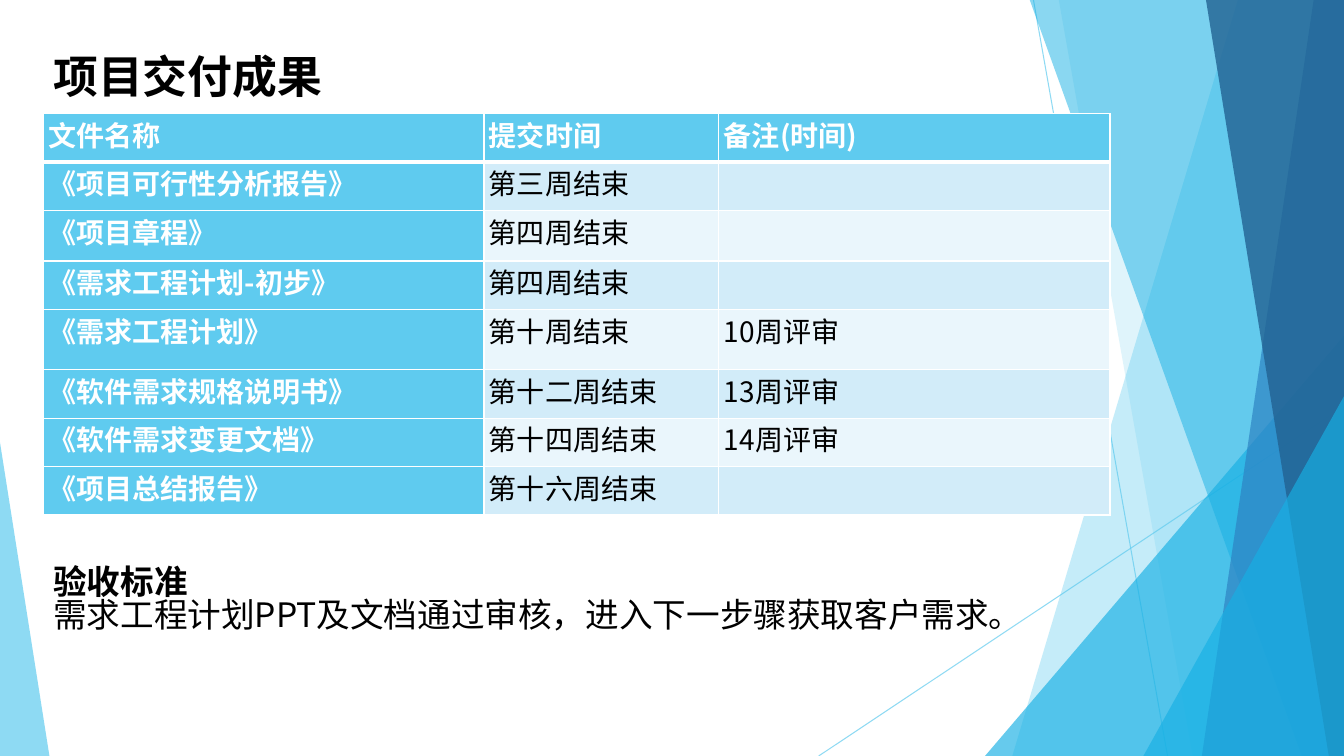
from lxml.etree import SubElement
from pptx import Presentation
from pptx.dml.color import RGBColor
from pptx.enum.shapes import MSO_CONNECTOR, MSO_SHAPE
from pptx.enum.text import MSO_AUTO_SIZE, PP_ALIGN
from pptx.oxml.ns import qn
from pptx.util import Pt

PX = 9144
FONT = "Noto Sans CJK SC"
BLACK = RGBColor(0x00, 0x00, 0x00)
WHITE = RGBColor(0xFF, 0xFF, 0xFF)
SKY = RGBColor(0x5F, 0xCB, 0xEF)
AZURE = RGBColor(0x17, 0xB0, 0xE4)
BLUE = RGBColor(0x2E, 0x83, 0xC3)
NAVY = RGBColor(0x22, 0x62, 0x92)
BAND_DARK = RGBColor(0xD2, 0xEC, 0xF9)
BAND_LIGHT = RGBColor(0xEA, 0xF6, 0xFC)

RIGHT, TOP, BOTTOM = 1333, -1, 750

DELIVERABLES = [
    ("文件名称", "提交时间", "备注(时间)"),
    ("《项目可行性分析报告》", "第三周结束", ""),
    ("《项目章程》", "第四周结束", ""),
    ("《需求工程计划-初步》", "第四周结束", ""),
    ("《需求工程计划》", "第十周结束", "10周评审"),
    ("《软件需求规格说明书》", "第十二周结束", "13周评审"),
    ("《软件需求变更文档》", "第十四周结束", "14周评审"),
    ("《项目总结报告》", "第十六周结束", ""),
]
COLUMN_WIDTHS = [437, 233, 388]
ROW_HEIGHTS = [48, 48, 50, 48, 60, 48, 48, 48]


class SlideBuilder:
    def __init__(self, slide):
        self.shapes = slide.shapes

    def fade(self, fill_parent, opacity):
        color = fill_parent.find(qn("a:solidFill"))[0]
        SubElement(color, qn("a:alpha"), val=str(opacity * 1000))

    def paint(self, facet, color, opacity):
        facet.shadow.inherit = False
        facet.fill.solid()
        facet.fill.fore_color.rgb = color
        facet.line.fill.background()
        self.fade(facet._element.spPr, opacity)

    def ray(self, start, end):
        ends = [value * PX for value in start + end]
        ray = self.shapes.add_connector(MSO_CONNECTOR.STRAIGHT, *ends)
        ray.line.color.rgb = SKY
        ray.line.width = Pt(0.75)
        properties = ray._element.spPr
        self.fade(properties.find(qn("a:ln")), 70)
        SubElement(properties, qn("a:effectLst"))

    def band(self, top_x, bottom_x, color, opacity):
        outline = self.shapes.build_freeform(top_x, TOP, scale=PX)
        corners = [(RIGHT, TOP), (RIGHT, BOTTOM), (bottom_x, BOTTOM)]
        outline.add_line_segments(corners, close=True)
        self.paint(outline.convert_to_shape(), color, opacity)

    def triangle(self, box, apex, color, opacity):
        bounds = [value * PX for value in box]
        triangle = self.shapes.add_shape(MSO_SHAPE.ISOSCELES_TRIANGLE, *bounds)
        triangle.adjustments[0] = apex
        self.paint(triangle, color, opacity)

    def run(self, paragraph, text, size, color, bold):
        run = paragraph.add_run()
        run.text = text
        run.font.size = Pt(size)
        run.font.bold = bold
        run.font.color.rgb = color
        run.font.name = FONT
        SubElement(run._r.get_or_add_rPr(), qn("a:ea"), typeface=FONT)

    def text(self, box, lines, size, wrap):
        frame = self.shapes.add_textbox(*[value * PX for value in box]).text_frame
        frame.word_wrap = wrap
        frame.auto_size = MSO_AUTO_SIZE.SHAPE_TO_FIT_TEXT
        frame.margin_top = 8 * PX
        frame.margin_bottom = 2 * PX
        for index, (line, bold) in enumerate(lines):
            paragraph = frame.add_paragraph() if index else frame.paragraphs[0]
            paragraph.line_spacing = 0.83
            self.run(paragraph, line, size, BLACK, bold)

    def borders(self, cell, top, bottom):
        properties = cell._tc.get_or_add_tcPr()
        for side, width in (("L", 1), ("R", 1), ("T", top), ("B", bottom)):
            edge = SubElement(properties, qn(f"a:ln{side}"), w=str(Pt(width)))
            fill = SubElement(edge, qn("a:solidFill"))
            SubElement(fill, qn("a:srgbClr"), val=str(WHITE))

    def table(self, left, top, rows, widths, heights):
        bounds = [value * PX for value in (left, top, sum(widths), sum(heights))]
        table = self.shapes.add_table(len(rows), len(widths), *bounds).table
        table.first_row = table.horz_banding = False
        for column, width in zip(table.columns, widths):
            column.width = width * PX
        for row_index, (values, height) in enumerate(zip(rows, heights)):
            table.rows[row_index].height = height * PX
            for column_index, value in enumerate(values):
                cell = table.cell(row_index, column_index)
                heading = row_index == 0 or column_index == 0
                band = BAND_DARK if row_index % 2 else BAND_LIGHT
                self.borders(cell, 3 if row_index == 1 else 1, 3 if row_index == 0 else 1)
                cell.fill.solid()
                cell.fill.fore_color.rgb = SKY if heading else band
                cell.margin_left = cell.margin_right = 5 * PX
                cell.margin_top = cell.margin_bottom = 0
                if value:
                    paragraph = cell.text_frame.paragraphs[0]
                    paragraph.alignment = PP_ALIGN.JUSTIFY
                    self.run(paragraph, value, 20, WHITE if heading else BLACK, heading)


def main():
    deck = Presentation()
    deck.slide_width = RIGHT * PX
    deck.slide_height = BOTTOM * PX
    builder = SlideBuilder(deck.slides.add_slide(deck.slide_layouts[6]))

    builder.ray((1025, 0), (1158, BOTTOM))
    builder.ray((RIGHT, 403), (812, BOTTOM))
    builder.band(1228, 1004, SKY, 36)
    builder.band(1050, 1183, SKY, 20)
    builder.triangle((977, 333, 356, 417), 1, AZURE, 66)
    builder.band(1021, 1291, AZURE, 50)
    builder.band(1303, 1192, BLUE, 70)
    builder.band(1196, 1318, NAVY, 80)
    builder.triangle((1134, 393, 199, 357), 1, AZURE, 66)
    builder.triangle((0, 439, 49, 311), 0, SKY, 70)

    builder.text((43, 49, 288, 64), [("项目交付成果", True)], 32, False)
    builder.table(43, 113, DELIVERABLES, COLUMN_WIDTHS, ROW_HEIGHTS)
    criteria = [
        ("验收标准", True),
        ("需求工程计划PPT及文档通过审核，进入下一步骤获取客户需求。", False),
    ]
    builder.text((43, 555, 952, 91), criteria, 24, True)
    deck.save("out.pptx")


if __name__ == "__main__":
    main()
